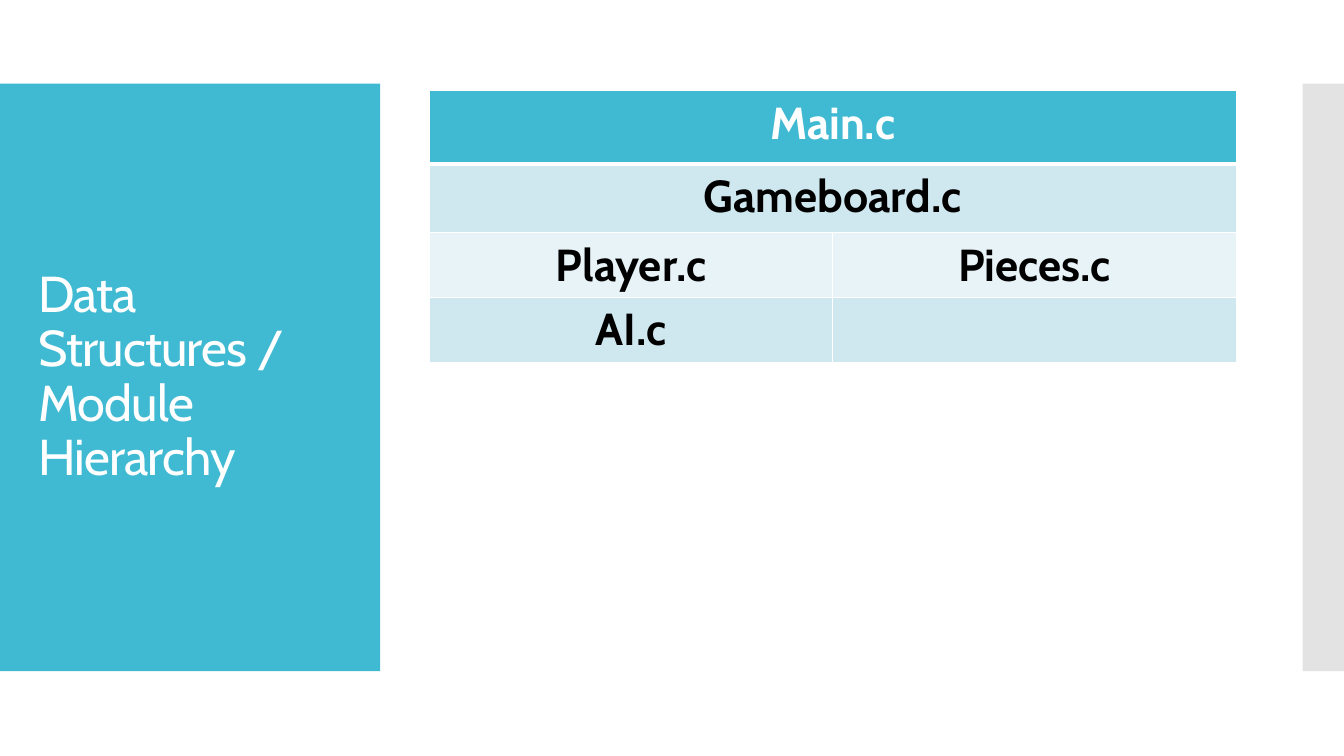
from dataclasses import dataclass

from pptx import Presentation
from pptx.dml.color import RGBColor
from pptx.enum.shapes import MSO_SHAPE
from pptx.enum.text import MSO_ANCHOR, MSO_AUTO_SIZE, PP_ALIGN
from pptx.oxml import parse_xml
from pptx.oxml.ns import nsdecls, qn
from pptx.util import Inches, Pt

RECTANGLE = MSO_SHAPE.RECTANGLE
MIDDLE = MSO_ANCHOR.MIDDLE
NO_AUTOFIT = MSO_AUTO_SIZE.NONE
LEFT, CENTER = PP_ALIGN.LEFT, PP_ALIGN.CENTER
TITLE_ONLY_LAYOUT = 5


@dataclass(frozen=True)
class Theme:
    """Colours, font and type sizes of the slide."""
    accent: str = "40BAD2"
    edge: str = "C8C8C8"
    band_dark: str = "CFE7EE"
    band_light: str = "E8F3F7"
    white: str = "FFFFFF"
    black: str = "000000"
    font: str = "Cabin"
    title_size: int = 36
    module_size: int = 32


THEME = Theme()


def style_font(font, size, color, bold=False):
    """Apply the theme font with the given size, colour and weight."""
    font.name = THEME.font
    font.size = Pt(size)
    font.bold = bold
    font.color.rgb = RGBColor.from_string(color)


def set_borders(cell, widths):
    """Draw white cell borders; widths in points for left, right, top, bottom."""
    properties = cell._tc.get_or_add_tcPr()
    for index, (side, width) in enumerate(zip("LRTB", widths)):
        properties.insert(index, parse_xml(
            f'<a:ln{side} {nsdecls("a")} w="{Pt(width)}"><a:solidFill>'
            f'<a:srgbClr val="{THEME.white}"/></a:solidFill></a:ln{side}>'))


prs = Presentation()
prs.slide_width, prs.slide_height = Inches(13.33), Inches(7.5)
slide = prs.slides.add_slide(prs.slide_layouts[TITLE_ONLY_LAYOUT])

# Title
title = slide.shapes.title
title.left, title.top = Inches(0.28), Inches(1.23)
title.width, title.height = Inches(3.22), Inches(5.03)
title_frame = title.text_frame
title_frame.text = "Data Structures /\vModule Hierarchy"
title_frame.word_wrap = True
title_frame.auto_size = NO_AUTOFIT
title_frame.vertical_anchor = MIDDLE
heading = title_frame.paragraphs[0]
heading.alignment = LEFT
heading.line_spacing = 0.9
for run in heading.runs:
    style_font(run.font, THEME.title_size, THEME.white)
    run.font._element.set("spc", "-60")

# Side panels, behind the title
for left, width, color, opacity in (
    (0, 3.77, THEME.accent, 100),
    (12.92, 0.41, THEME.edge, 50),
):
    panel = slide.shapes.add_shape(
        RECTANGLE, Inches(left), Inches(0.83), Inches(width), Inches(5.83))
    panel.shadow.inherit = False
    panel.fill.solid()
    panel.fill.fore_color.rgb = RGBColor.from_string(color)
    panel.line.fill.background()
    if opacity < 100:
        fill_color = panel.element.spPr.find(".//" + qn("a:srgbClr"))
        fill_color.append(parse_xml(
            f'<a:alpha {nsdecls("a")} val="{opacity * 1000}"/>'))
    title.element.addprevious(panel.element)

# Module hierarchy: height, fill, text colour, modules (one module spans the row)
levels = [
    (0.73, THEME.accent, THEME.white, ["Main.c"]),
    (0.68, THEME.band_dark, THEME.black, ["Gameboard.c"]),
    (0.64, THEME.band_light, THEME.black, ["Player.c", "Pieces.c"]),
    (0.64, THEME.band_dark, THEME.black, ["AI.c", ""]),
]
hierarchy = slide.shapes.add_table(
    len(levels), 2, Inches(4.26), Inches(0.9), Inches(8),
    Inches(sum(level[0] for level in levels))).table

for row, (height, fill, text_color, modules) in enumerate(levels):
    hierarchy.rows[row].height = Inches(height)
    top_width = 3 if row == 1 else 1
    bottom_width = 3 if row == 0 else 1
    for column in range(2):
        cell = hierarchy.cell(row, column)
        cell.fill.solid()
        cell.fill.fore_color.rgb = RGBColor.from_string(fill)
        set_borders(cell, (1, 1, top_width, bottom_width))
    if len(modules) == 1:
        hierarchy.cell(row, 0).merge(hierarchy.cell(row, 1))
    for column, module in enumerate(modules):
        label = hierarchy.cell(row, column).text_frame.paragraphs[0]
        label.text = module
        label.alignment = CENTER
        for run in label.runs:
            style_font(run.font, THEME.module_size, text_color, bold=True)

prs.save("out.pptx")
